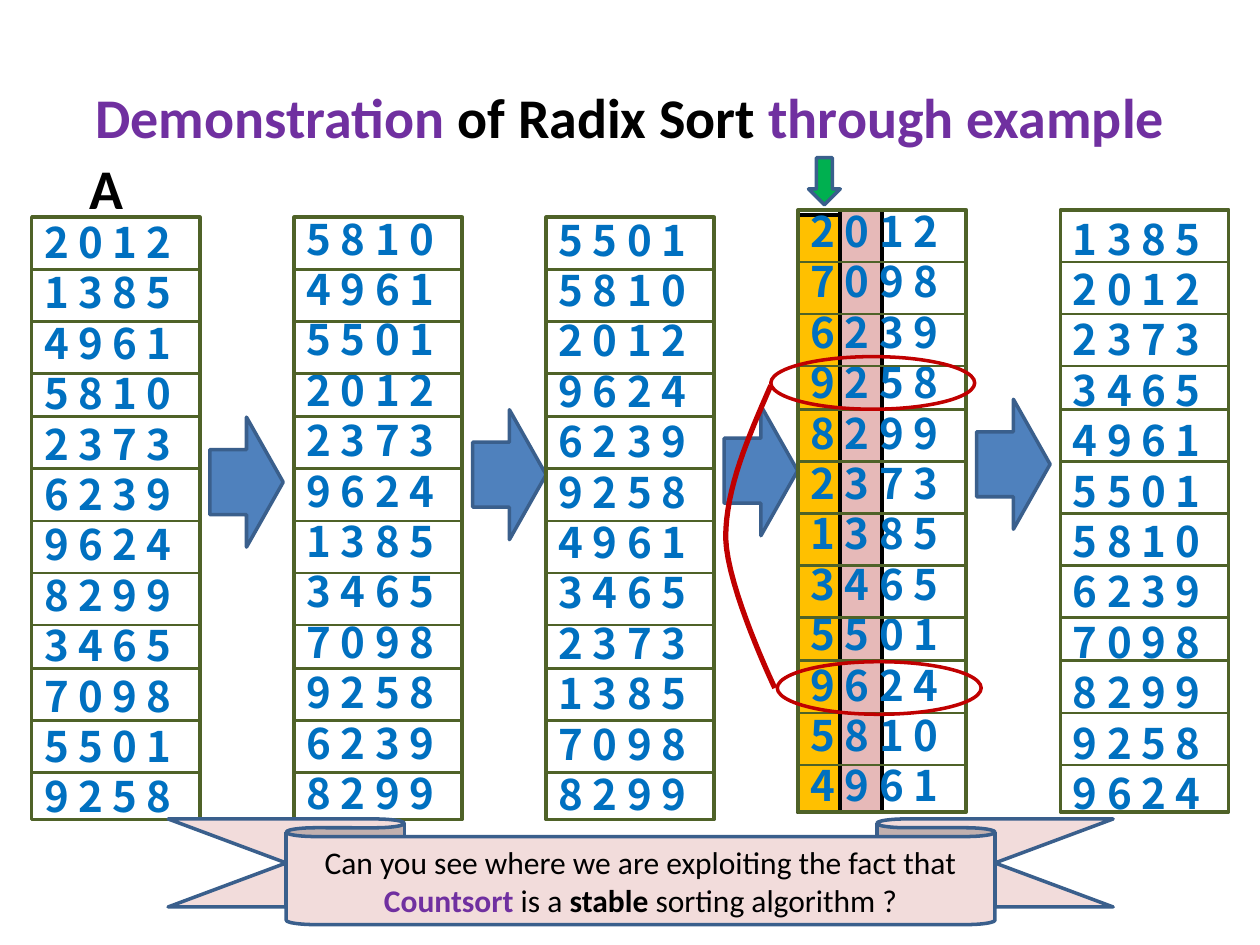
from itertools import accumulate

from lxml import etree
from pptx import Presentation
from pptx.dml.color import RGBColor
from pptx.enum.shapes import MSO_CONNECTOR as CONNECTOR, MSO_SHAPE as SHAPE
from pptx.enum.text import MSO_ANCHOR as ANCHOR, MSO_AUTO_SIZE as AUTO, PP_ALIGN as ALIGN
from pptx.oxml.ns import qn
from pptx.util import Cm, Pt

COLORS = {
    "black": "000000", "purple": "7030A0", "digits": "0070C0", "grid": "4F6228",
    "arrow": "4F81BD", "outline": "3A5F8C", "pointer": "00B050", "mark": "C00000",
    "sorted": "E6B9B8", "current": "FFC000", "ribbon": "F2DCDB",
}
NUMBERS = ["2012", "1385", "4961", "5810", "2373", "6239",
           "9624", "8299", "3465", "7098", "5501", "9258"]
COLUMNS = [(0.64, 4.24, 4.38), (5.93, 4.17, 4.38), (11.01, 4.19, 4.38),
           (16.09, 4.02, 4.23), (21.38, 4.17, 4.23)]
ARROWS = [(4.23, 8.41), (9.53, 8.26), (14.6, 8.18), (19.69, 8.05)]
ROW_HEIGHTS = [1.05, 1.05, 1.05, 0.87, 1.05, 1.05, 1.05, 1.05, 0.87, 1.05, 1.05]
COLUMN_WIDTH, COLUMN_HEIGHT = 3.39, 12.14
CURVE = [[(15.54, 7.77), (15.09, 8.81), (14.63, 9.83), (14.63, 10.85)],
         [(14.63, 10.85), (14.66, 11.86), (15.62, 13.87), (15.62, 13.87)]]


def rgb(name):
    return RGBColor.from_string(COLORS[name])


def set_line(shape, color, width):
    shape.line.color.rgb = rgb(color)
    shape.line.width = Pt(width)


def add_shape(parent, kind, box, fill=None, line="outline", width=2):
    shape = parent.shapes.add_shape(kind, *map(Cm, box))
    shape.shadow.inherit = False
    if fill:
        shape.fill.solid()
        shape.fill.fore_color.rgb = rgb(fill)
    else:
        shape.fill.background()
    set_line(shape, line, width)
    return shape


def add_rule(parent, left, top, width):
    rule = parent.shapes.add_connector(
        CONNECTOR.STRAIGHT, Cm(left), Cm(top), Cm(left + width), Cm(top))
    set_line(rule, "grid", 1.5)
    etree.SubElement(rule._element.spPr, qn("a:effectLst"))


def add_runs(paragraph, runs, **formats):
    for text, color, bold in runs:
        run = paragraph.add_run()
        run.text = text
        run.font.color.rgb = rgb(color)
        for name, value in {"name": "Calibri", "bold": bold, **formats}.items():
            setattr(run.font, name, value)


def add_text_box(slide, box, **formats):
    frame = slide.shapes.add_textbox(*map(Cm, box)).text_frame
    for name, value in {"word_wrap": True, **formats}.items():
        setattr(frame, name, value)
    return frame


def add_column(slide, numbers, left, text_top, grid_top):
    frame = add_text_box(slide, (left, text_top, 3.6, 12.57))
    for index, number in enumerate(numbers):
        paragraph = frame.add_paragraph() if index else frame.paragraphs[0]
        paragraph.line_spacing = Pt(28.8)
        add_runs(paragraph, [(" ".join(number), "digits", True)],
                 name="Noto Sans CJK KR", size=Pt(24))
    grid = slide.shapes.add_group_shape()
    add_shape(grid, SHAPE.RECTANGLE, (left, grid_top, COLUMN_WIDTH, COLUMN_HEIGHT), line="grid")
    for offset in accumulate(ROW_HEIGHTS):
        add_rule(grid, left, grid_top + offset, COLUMN_WIDTH)


def bezier_point(points, t):
    weights = ((1 - t) ** 3, 3 * t * (1 - t) ** 2, 3 * t * t * (1 - t), t ** 3)
    return tuple(Cm(sum(w * point[axis] for w, point in zip(weights, points)))
                 for axis in (0, 1))


def add_stable_pair(slide):
    group = slide.shapes.add_group_shape()
    for left, top in ((15.54, 7.19), (15.67, 13.34)):
        add_shape(group, SHAPE.OVAL, (left, top, 4.11, 1.06), line="mark")
    start, *points = [bezier_point(part, step / 16) for part in CURVE for step in range(17)]
    builder = group.shapes.build_freeform(*start)
    builder.add_line_segments(points, close=False)
    curve = builder.convert_to_shape()
    curve.shadow.inherit = False
    curve.fill.background()
    set_line(curve, "mark", 3)


def add_title(slide):
    frame = add_text_box(slide, (1.27, 0.76, 22.86, 3.18), vertical_anchor=ANCHOR.MIDDLE)
    frame.paragraphs[0].alignment = ALIGN.CENTER
    add_runs(frame.paragraphs[0], [
        ("Demonstration ", "purple", True), ("of Radix Sort", "black", True),
        (" through example", "purple", True)], size=Pt(32))


def add_question(slide):
    ribbon = add_shape(slide, SHAPE.DOWN_RIBBON, (3.39, 16.51, 19.05, 2.13), "ribbon")
    ribbon.adjustments[0], ribbon.adjustments[1] = 0.167, 0.75
    frame = ribbon.text_frame
    frame.word_wrap, frame.vertical_anchor = True, ANCHOR.MIDDLE
    frame.paragraphs[0].alignment = ALIGN.CENTER
    add_runs(frame.paragraphs[0], [
        ("Can you see where we are exploiting the fact that ", "black", False),
        ("Countsort ", "purple", True), ("is a ", "black", False),
        ("stable", "black", True), (" sorting algorithm ?", "black", False)], size=Pt(18))


def main():
    presentation = Presentation()
    presentation.slide_width, presentation.slide_height = Cm(25.4), Cm(19.05)
    slide = presentation.slides.add_slide(presentation.slide_layouts[6])

    add_title(slide)
    label = add_text_box(slide, (1.55, 2.97, 1.2, 1.62), word_wrap=False,
                         auto_size=AUTO.SHAPE_TO_FIT_TEXT)
    add_runs(label.paragraphs[0], [("A", "black", True)], size=Pt(32))

    add_shape(slide, SHAPE.RECTANGLE, (16.94, 4.23, 0.85, 12.14), "sorted", "black", 2.25)
    add_shape(slide, SHAPE.RECTANGLE, (16.09, 4.34, 0.85, 12.04), "current", "black", 2.25)
    add_shape(slide, SHAPE.DOWN_ARROW, (16.3, 3.18, 0.64, 0.95), "pointer")
    for left, top in ARROWS:
        add_shape(slide, SHAPE.RIGHT_ARROW, (left, top, 1.48, 2.62), "arrow")

    numbers = NUMBERS
    for step, position in enumerate(COLUMNS):
        if step:
            numbers = sorted(numbers, key=lambda number: number[-step])
        add_column(slide, numbers, *position)

    add_question(slide)
    add_stable_pair(slide)
    presentation.save("out.pptx")


if __name__ == "__main__":
    main()
